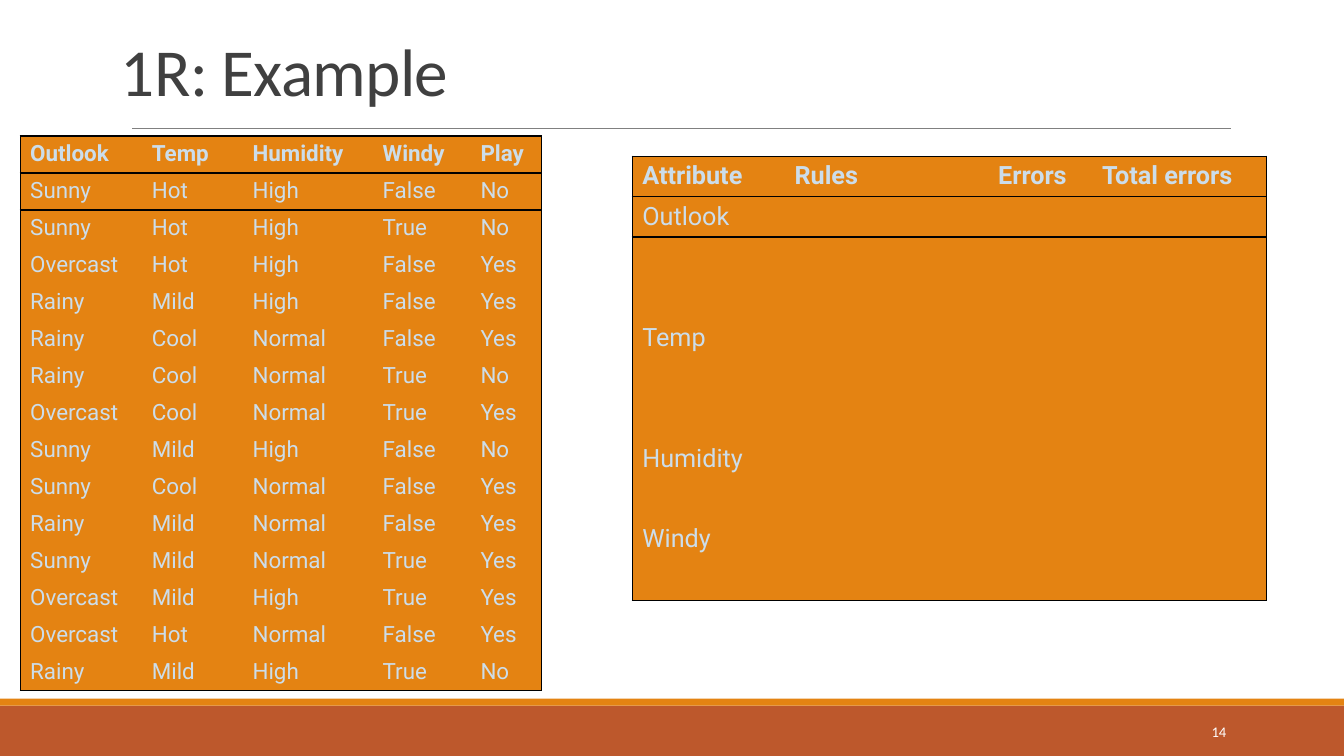
from dataclasses import dataclass

from lxml.etree import SubElement
from pptx import Presentation as new_presentation
from pptx.dml.color import RGBColor
from pptx.enum.shapes import MSO_CONNECTOR as Connector, MSO_SHAPE as Shape
from pptx.enum.text import MSO_ANCHOR as Anchor, PP_ALIGN as Align
from pptx.oxml.ns import qn
from pptx.util import Emu, Inches, Pt


@dataclass(frozen=True)
class Theme:
    orange: str = "E48312"
    rust: str = "BD582C"
    rule: str = "808080"
    title: str = "404040"
    cell_text: str = "CCDDEA"
    border: str = "000000"
    white: str = "FFFFFF"
    heading_font: str = "Calibri"
    table_font: str = "Roboto"
    title_size: float = 48
    number_size: float = 10.5
    data_size: float = 16
    rules_size: float = 18
    border_width: float = 1
    rule_width: float = 0.5


@dataclass(frozen=True)
class Box:
    """A rectangle in percent of the slide's width and height."""
    left: float
    top: float
    width: float
    height: float


@dataclass(frozen=True)
class Band:
    box: Box
    color: str


@dataclass(frozen=True)
class TableSpec:
    left: float
    top: float
    height: float
    columns: tuple[float, ...]
    rows: list[list[str]]
    size: float


THEME = Theme()
WIDTH, HEIGHT = Inches(13.33), Inches(7.5)
ROW_HEIGHT = 4.4
PLAIN_TABLE_STYLE = "{2D5ABB26-0587-4C30-8999-92F81FD0307C}"

BANDS = [
    Band(Box(0, 93.33, 100, 6.67), THEME.rust),
    Band(Box(0, 92.4, 100, 0.93), THEME.orange),
]

WEATHER = """Outlook Temp Humidity Windy Play
Sunny Hot High False No
Sunny Hot High True No
Overcast Hot High False Yes
Rainy Mild High False Yes
Rainy Cool Normal False Yes
Rainy Cool Normal True No
Overcast Cool Normal True Yes
Sunny Mild High False No
Sunny Cool Normal False Yes
Rainy Mild Normal False Yes
Sunny Mild Normal True Yes
Overcast Mild High True Yes
Overcast Hot Normal False Yes
Rainy Mild High True No"""

ATTRIBUTE_ROWS = [("Outlook", 3), ("Temp", 3), ("Humidity", 2), ("Windy", 2)]
RULES = [["Attribute", "Rules", "Errors", "Total errors"]] + [
    [name if line == 0 else "", "", "", ""]
    for name, lines in ATTRIBUTE_ROWS for line in range(lines)
]

TABLES = [
    TableSpec(1.5, 18, 73.33, (9.05, 7.5, 9.68, 7.28, 5.27),
              [line.split() for line in WEATHER.splitlines()], THEME.data_size),
    TableSpec(47.04, 20.67, 58.67, (11.33, 15.15, 7.73, 13),
              RULES, THEME.rules_size),
]


def across(percent: float) -> Emu:
    return Emu(round(WIDTH * percent / 100))


def down(percent: float) -> Emu:
    return Emu(round(HEIGHT * percent / 100))


def place(box: Box) -> tuple[Emu, Emu, Emu, Emu]:
    return across(box.left), down(box.top), across(box.width), down(box.height)


def apply(target, values: dict) -> None:
    for name, value in values.items():
        setattr(target, name, value)


def write(paragraph, text: str, font: str, size: float, color: str, bold=False):
    run = paragraph.add_run()
    run.text = text
    apply(run.font, {"name": font, "size": Pt(size), "bold": bold})
    run.font.color.rgb = RGBColor.from_string(color)
    return run


def add_title(slide, text: str) -> None:
    title = slide.shapes.title
    left, top, width, height = place(Box(8.25, 0.8, 82.5, 14.4))
    apply(title, {"left": left, "top": top, "width": width, "height": height})
    apply(title.text_frame, {"vertical_anchor": Anchor.BOTTOM, "word_wrap": True})
    paragraph = title.text_frame.paragraphs[0]
    apply(paragraph, {"alignment": Align.LEFT, "line_spacing": 0.85})
    run = write(paragraph, text, THEME.heading_font, THEME.title_size, THEME.title)
    run.font._element.set("spc", "-50")


def add_band(slide, band: Band) -> None:
    shape = slide.shapes.add_shape(Shape.RECTANGLE, *place(band.box))
    shape.shadow.inherit = False
    shape.fill.solid()
    shape.fill.fore_color.rgb = RGBColor.from_string(band.color)
    shape.line.fill.background()


def add_title_rule(slide) -> None:
    rule = slide.shapes.add_connector(
        Connector.STRAIGHT, across(9.83), down(16.93), across(91.6), down(16.93))
    rule.line.color.rgb = RGBColor.from_string(THEME.rule)
    rule.line.width = Pt(THEME.rule_width)
    SubElement(rule._element.spPr, qn("a:effectLst"))


def add_slide_number(slide, number: str) -> None:
    frame = slide.shapes.add_textbox(*place(Box(81.25, 94.13, 10.73, 5.33))).text_frame
    apply(frame, {"word_wrap": True, "vertical_anchor": Anchor.MIDDLE})
    frame.paragraphs[0].alignment = Align.RIGHT
    write(frame.paragraphs[0], number, THEME.heading_font, THEME.number_size, THEME.white)


def add_border(cell, side: str) -> None:
    line = SubElement(cell._tc.get_or_add_tcPr(), qn(f"a:ln{side}"),
                      w=str(Pt(THEME.border_width)))
    SubElement(SubElement(line, qn("a:solidFill")), qn("a:srgbClr"), val=THEME.border)


def fill_cell(cell, text: str, size: float, bold: bool) -> None:
    cell.fill.solid()
    cell.fill.fore_color.rgb = RGBColor.from_string(THEME.orange)
    paragraph = cell.text_frame.paragraphs[0]
    if text:
        write(paragraph, text, THEME.table_font, size, THEME.cell_text, bold)
    else:
        end = SubElement(paragraph._p, qn("a:endParaRPr"), sz=str(round(size * 100)))
        SubElement(end, qn("a:latin"), typeface=THEME.table_font)


def add_table(slide, spec: TableSpec) -> None:
    """Draw a table framed on the outside and ruled under its header row."""
    row_count, column_count = len(spec.rows), len(spec.columns)
    box = Box(spec.left, spec.top, sum(spec.columns), spec.height)
    frame = slide.shapes.add_table(row_count, column_count, *place(box))
    table = frame.table
    apply(table, {"first_row": False, "horz_banding": False})
    table._tbl.tblPr.find(qn("a:tableStyleId")).text = PLAIN_TABLE_STYLE
    for column, width in zip(table.columns, spec.columns):
        column.width = across(width)
    for r, texts in enumerate(spec.rows):
        table.rows[r].height = down(ROW_HEIGHT)
        for c, text in enumerate(texts):
            cell = table.cell(r, c)
            sides = {"L": c == 0, "R": c == column_count - 1,
                     "T": r <= 1, "B": r in (0, row_count - 1)}
            for side, shown in sides.items():
                if shown:
                    add_border(cell, side)
            fill_cell(cell, text, spec.size, bold=r == 0)
    frame.height = down(spec.height)


def main() -> None:
    presentation = new_presentation()
    apply(presentation, {"slide_width": WIDTH, "slide_height": HEIGHT})
    slide = presentation.slides.add_slide(presentation.slide_layouts[5])
    for band in BANDS:
        add_band(slide, band)
    add_title_rule(slide)
    add_title(slide, "1R: Example")
    add_slide_number(slide, "14")
    for spec in TABLES:
        add_table(slide, spec)
    presentation.save("out.pptx")


if __name__ == "__main__":
    main()
